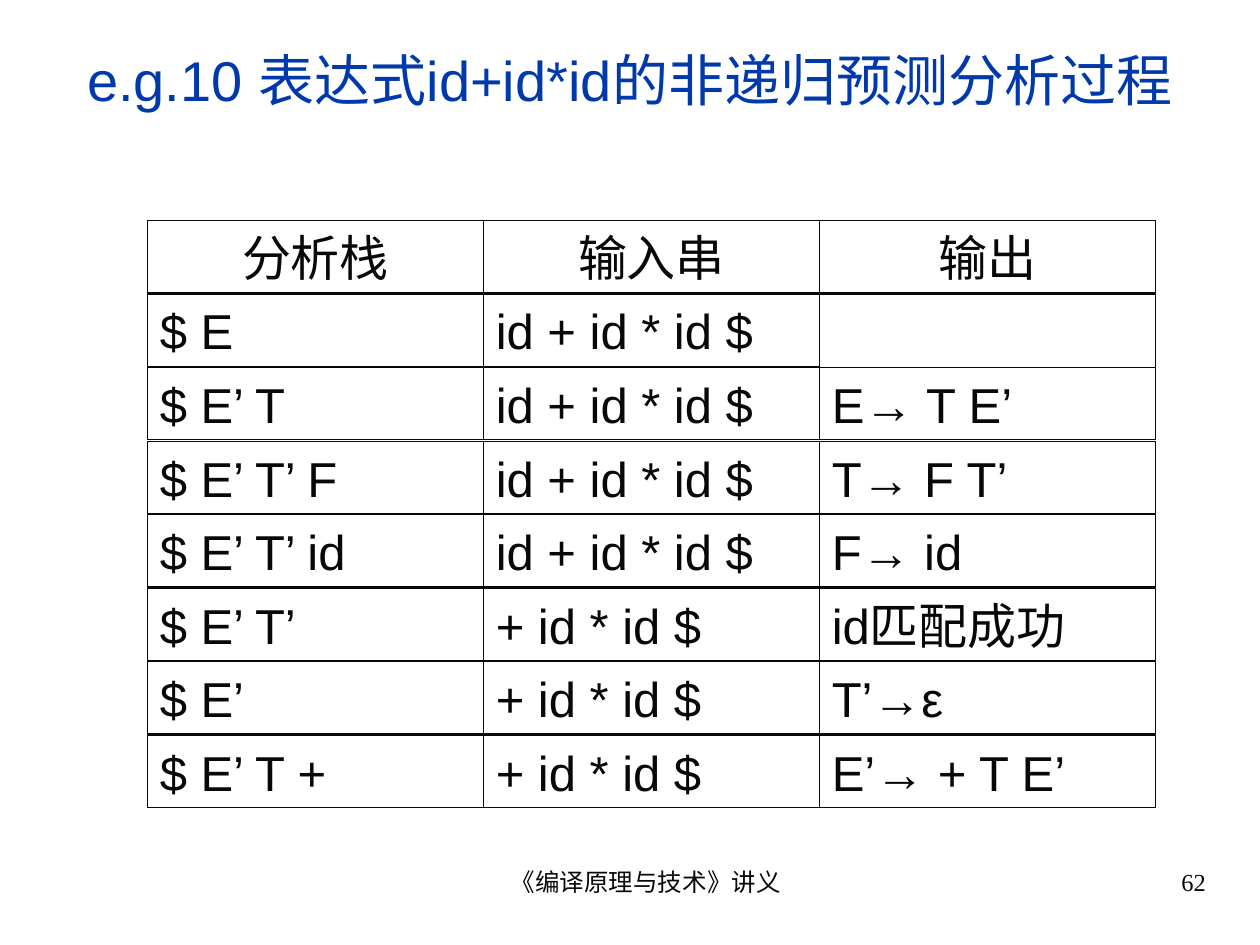
from dataclasses import dataclass

from pptx import Presentation
from pptx.dml.color import RGBColor
from pptx.enum.shapes import MSO_SHAPE
from pptx.enum.text import MSO_ANCHOR, PP_ALIGN
from pptx.util import Inches, Pt

LEFT, CENTER, RIGHT = PP_ALIGN.LEFT, PP_ALIGN.CENTER, PP_ALIGN.RIGHT
TOP, MIDDLE = MSO_ANCHOR.TOP, MSO_ANCHOR.MIDDLE
RECTANGLE = MSO_SHAPE.RECTANGLE
BLANK_LAYOUT = 6


@dataclass(frozen=True)
class Theme:
    """Colours, fonts and type sizes of the slide."""
    title_color: str = "0039AC"
    ink: str = "080808"
    body_font: str = "Arial"
    footer_font: str = "Times New Roman"
    title_size: float = 32
    cell_size: float = 28
    cell_line: float = 34
    footer_size: float = 14
    border: float = 0.75


THEME = Theme()

TITLE = "e.g.10 表达式id+id*id的非递归预测分析过程"
ROW_GAP = 0.01
PARSE_STEPS = [
    ("分析栈", "输入串", "输出"),
    ("$ E", "id + id * id $", ""),
    ("$ E’ T", "id + id * id $", "E→ T E’"),
    ("$ E’ T’ F", "id + id * id $", "T→ F T’"),
    ("$ E’ T’ id", "id + id * id $", "F→ id"),
    ("$ E’ T’", "+ id * id $", "id匹配成功"),
    ("$ E’", "+ id * id $", "T’→ε"),
    ("$ E’ T +", "+ id * id $", "E’→ + T E’"),
]


def fill_text(shape, text, font, size, color, align, anchor=TOP, indent=0):
    """Write one styled paragraph into a shape and return it."""
    frame = shape.text_frame
    frame.word_wrap = True
    frame.vertical_anchor = anchor
    frame.margin_left = Inches(0.1 + indent)
    para = frame.paragraphs[0]
    para.text = text
    para.alignment = align
    para.font.name = font
    para.font.size = Pt(size)
    para.font.color.rgb = RGBColor.from_string(color)
    return para


def add_title(page, box):
    """Place the slide title."""
    title = page.shapes.add_textbox(*map(Inches, box))
    fill_text(title, TITLE, THEME.body_font, THEME.title_size,
              THEME.title_color, CENTER, MIDDLE)


def add_cell(row, box, text, align):
    """Add one outlined cell to a row group."""
    cell = row.shapes.add_shape(RECTANGLE, *map(Inches, box))
    cell.shadow.inherit = False
    cell.fill.background()
    cell.line.color.rgb = RGBColor.from_string(THEME.ink)
    cell.line.width = Pt(THEME.border)
    if text:
        para = fill_text(cell, text, THEME.body_font, THEME.cell_size,
                         THEME.ink, align)
        para.line_spacing = Pt(THEME.cell_line)


def add_parse_grid(page, box):
    """Place the parsing steps as rows of separate cells."""
    left, top, width, height = box
    cell_width = width / len(PARSE_STEPS[0])
    pitch = height / len(PARSE_STEPS)
    for row_index, step in enumerate(PARSE_STEPS):
        row = page.shapes.add_group_shape()
        for column_index, text in enumerate(step):
            cell_height = pitch - ROW_GAP if text else pitch
            cell_box = (left + column_index * cell_width,
                        top + row_index * pitch, cell_width, cell_height)
            add_cell(row, cell_box, text, LEFT if row_index else CENTER)


def add_footer(page, box, text, align):
    """Place one footer item."""
    footer = page.shapes.add_textbox(*map(Inches, box))
    fill_text(footer, text, THEME.footer_font, THEME.footer_size,
              THEME.ink, align, indent=0.24)


def main():
    """Build and save the slide."""
    deck = Presentation()
    deck.slide_width, deck.slide_height = Inches(10), Inches(7.5)
    page = deck.slides.add_slide(deck.slide_layouts[BLANK_LAYOUT])
    add_title(page, (0.33, 0.25, 9.34, 0.75))
    add_parse_grid(page, (1.17, 1.75, 8, 4.67))
    add_footer(page, (3.42, 6.83, 3.17, 0.52), "《编译原理与技术》讲义", CENTER)
    add_footer(page, (7.17, 6.83, 2.5, 0.52), "62", RIGHT)
    deck.save("out.pptx")


if __name__ == "__main__":
    main()
